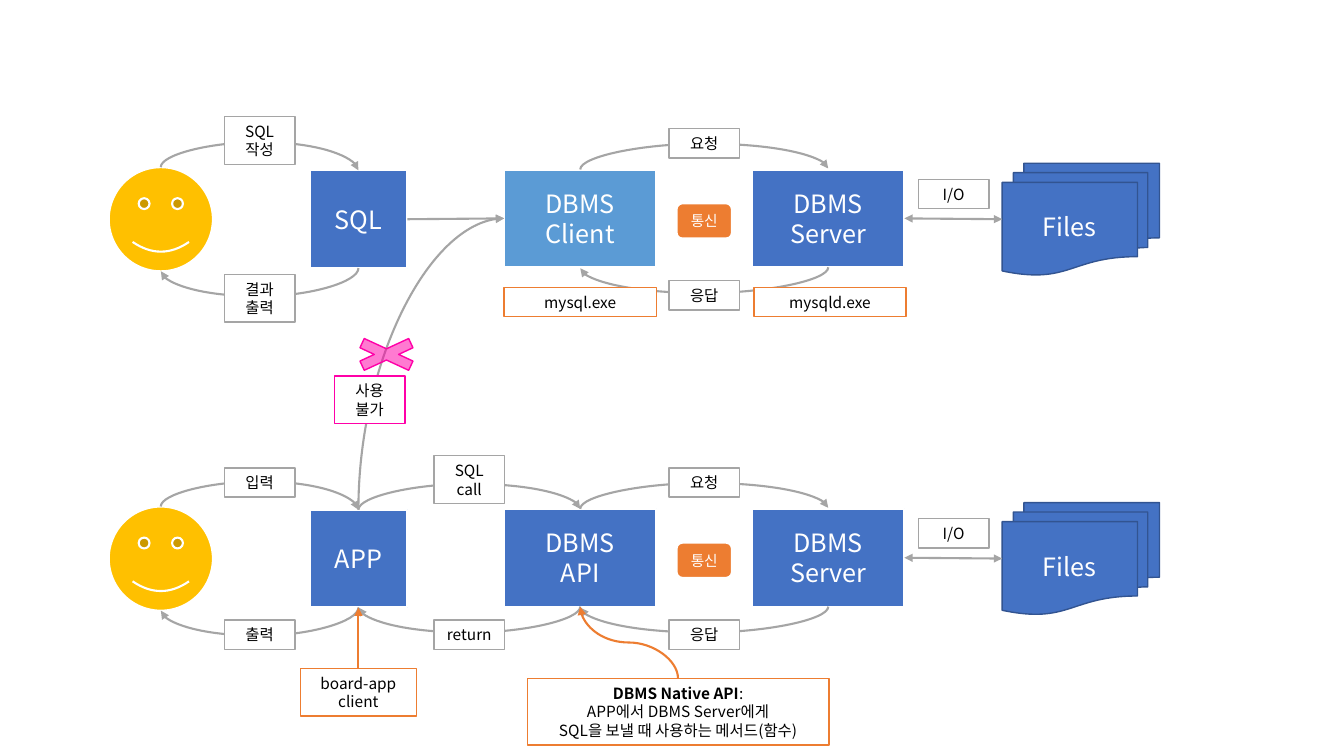
from dataclasses import dataclass

from lxml.etree import SubElement
from pptx import Presentation
from pptx.dml.color import RGBColor
from pptx.enum.shapes import MSO_CONNECTOR, MSO_SHAPE
from pptx.enum.text import MSO_ANCHOR, PP_ALIGN
from pptx.oxml.ns import qn
from pptx.util import Inches, Pt


@dataclass(frozen=True)
class Theme:
    font: str = "Noto Sans CJK KR"
    white: str = "FFFFFF"
    black: str = "000000"
    blue: str = "4472C4"
    sky: str = "5B9BD5"
    edge: str = "325491"
    gold: str = "FFC000"
    orange: str = "ED7D31"
    gray: str = "A5A5A5"
    pink: str = "FF00A8"
    big: float = 18
    small: float = 11
    tiny: float = 10.5
    thick: float = 1.5
    thin: float = 1


THEME = Theme()
TOP, LEFT, BOTTOM, RIGHT = range(4)

deck = Presentation()
deck.slide_width, deck.slide_height = Inches(13.33), Inches(7.5)
slide = deck.slides.add_slide(deck.slide_layouts[6])

# The slide is a grid of 160 columns by 90 rows.
UNIT = deck.slide_height / 90
FACE, STEP, CALL, SERVER, FILES = 19.14, 42.66, 69.06, 98.58, 128.64
WIDE, TALL = 18.12, 11.64
RISE = 9.4


def grid(n):
    return round(n * UNIT)


def rgb(code):
    return RGBColor.from_string(code)


def write(shape, text, size, color):
    """Fill a shape with centred lines; text before a '|' is bold."""
    frame = shape.text_frame
    frame.word_wrap = True
    frame.vertical_anchor = MSO_ANCHOR.MIDDLE
    frame.margin_left = frame.margin_right = 0
    for i, line in enumerate(text.split("\n")):
        para = frame.add_paragraph() if i else frame.paragraphs[0]
        para.alignment = PP_ALIGN.CENTER
        strong, mark, rest = line.rpartition("|")
        if mark:
            run = para.add_run()
            run.text, run.font.bold = strong, True
        para.add_run().text = rest
        font = para.font
        font.name, font.size, font.color.rgb = THEME.font, Pt(size), rgb(color)
        base = para._p.pPr.find(qn("a:defRPr"))
        SubElement(base, qn("a:ea"), typeface=THEME.font)


def block(x, y, w, h, fill, text="", kind=MSO_SHAPE.RECTANGLE,
          line=THEME.white, weight=THEME.thick, size=THEME.big,
          color=THEME.white):
    """Add a shape centred on x, y."""
    shape = slide.shapes.add_shape(
        kind, grid(x - w / 2), grid(y - h / 2), grid(w), grid(h))
    shape.shadow.inherit = False
    shape.fill.solid()
    shape.fill.fore_color.rgb = rgb(fill)
    shape.line.color.rgb, shape.line.width = rgb(line), Pt(weight)
    if text:
        write(shape, text, size, color)
    return shape


def label(x, y, text, w=8.4, line=THEME.gray):
    rows = text.count("\n") + 1
    return block(x, y, w, 1.26 + 2.22 * rows, THEME.white, text, line=line,
                 weight=THEME.thin, size=THEME.small, color=THEME.black)


def port(shape, side):
    """Give the middle of one side of a shape."""
    across = {LEFT: 0, RIGHT: 2}.get(side, 1)
    down = {TOP: 0, BOTTOM: 2}.get(side, 1)
    return (shape.left + shape.width * across // 2,
            shape.top + shape.height * down // 2)


def link(kind, start, end, color=THEME.gray, both=False):
    wire = slide.shapes.add_connector(kind, *start, *end)
    wire.line.color.rgb, wire.line.width = rgb(color), Pt(THEME.thick)
    line = wire.line._get_or_add_ln()
    for tag in ["a:headEnd", "a:tailEnd"][not both:]:
        SubElement(line, qn(tag), type="triangle")
    SubElement(wire._element.spPr, qn("a:effectLst"))
    return wire


def curve(start, end, bend=None, color=THEME.gray):
    """Leave start upright; bend is the height of the turn, None one corner."""
    (x1, y1), (x2, y2) = start, end
    wire = link(MSO_CONNECTOR.CURVE, start, end, color)
    w, h = abs(y2 - y1), abs(x2 - x1)
    wire.left, wire.top = (x1 + x2 - w) // 2, (y1 + y2 - h) // 2
    wire.width, wire.height = w, h
    form = wire._element.spPr.find(qn("a:xfrm"))
    form.set("rot", "5400000")
    form.set("flipH", str(int(y2 < y1)))
    form.set("flipV", str(int(x2 > x1)))
    geom = wire._element.spPr.find(qn("a:prstGeom"))
    if bend is None:
        geom.set("prst", "curvedConnector2")
    else:
        share = round((bend - y1) / (y2 - y1) * 100000)
        SubElement(geom.find(qn("a:avLst")), qn("a:gd"),
                   name="adj1", fmla=f"val {share}")


def bow(first, last, side):
    """Arch from one block to the next above or below both."""
    out = -1 if side == TOP else 1
    start, (x, y) = port(first, side), port(last, side)
    if abs(y - start[1]) < grid(0.1):
        y += out * grid(0.12)
    edge = min(start[1], y) if side == TOP else max(start[1], y)
    curve(start, (x, y), edge + out * grid(3))


def pair(first, last, mid, ask, reply):
    """Arch there and back between two blocks, each way with its label."""
    bow(first, last, TOP)
    bow(last, first, BOTTOM)
    x = (port(first, TOP)[0] + port(last, TOP)[0]) / 2 / UNIT
    for text, out in ((ask, -1), (reply, 1)):
        rise = RISE if "\n" in text else RISE - 0.35
        label(x, mid + out * rise, text)


def lane(mid, step, call, tint, ask, reply):
    """Place the chain from user to files, centred on row mid."""
    face = block(FACE, mid, 12.4, 12.4, THEME.gold, kind=MSO_SHAPE.SMILEY_FACE)
    tool = block(STEP, mid, TALL, TALL, THEME.blue, step)
    dbms = block(CALL, mid - 0.1, WIDE, TALL, tint, call)
    server = block(SERVER, mid - 0.1, WIDE, TALL, THEME.blue, "DBMS\nServer")
    files = block(FILES, mid, 18.72, 13.32, THEME.blue, "Files",
                  MSO_SHAPE.FLOWCHART_MULTIDOCUMENT, THEME.edge, THEME.thin)
    pair(face, tool, mid, ask, reply)
    pair(dbms, server, mid, "요청", "응답")
    wire = link(MSO_CONNECTOR.STRAIGHT, port(server, RIGHT), port(files, LEFT),
                both=True)
    wire.begin_connect(server, RIGHT)
    block((CALL + SERVER) / 2, mid + 0.2, 6.6, 4.2, THEME.orange, "통신",
          MSO_SHAPE.ROUNDED_RECTANGLE, size=THEME.tiny)
    label(113.5, mid - 3, "I/O")
    return tool, dbms


def join(first, side, last, end, color=THEME.gray):
    wire = link(MSO_CONNECTOR.STRAIGHT, port(first, side), port(last, end),
                color)
    wire.begin_connect(first, side)
    wire.end_connect(last, end)


def barred(app, client):
    """Cross out the way from the app to the client."""
    curve(port(app, TOP), port(client, LEFT))
    cross = block(46, 42.2, 11.16, 5.16, THEME.pink,
                  kind=MSO_SHAPE.MATH_MULTIPLY, line=THEME.pink,
                  weight=THEME.thin)
    tone = cross.fill._xPr.find(qn("a:solidFill"))[0]
    SubElement(tone, qn("a:alpha"), val="52000")
    label(44, 47.6, "사용\n불가", line=THEME.pink)


def notes(app, api):
    """Explain the app and the API below their blocks."""
    board = label(STEP, 82.4, "board-app\nclient", 13.8, THEME.orange)
    native = label(80.7, 84.72, "DBMS Native API|:\nAPP에서 DBMS Server에게\n"
                   "SQL을 보낼 때 사용하는 메서드(함수)", 35.9, THEME.orange)
    join(board, TOP, app, BOTTOM, THEME.orange)
    start, end = port(native, TOP), port(api, BOTTOM)
    curve(start, end, (start[1] + end[1]) / 2, THEME.orange)


def main():
    high, low = 26.1, 66.5
    sql, client = lane(high, "SQL", "DBMS\nClient", THEME.sky,
                       "SQL\n작성", "결과\n출력")
    join(sql, RIGHT, client, LEFT)
    for x, name in ((CALL, "mysql.exe"), (SERVER + 0.2, "mysqld.exe")):
        label(x, high + 9.84, name, WIDE, THEME.orange)
    app, api = lane(low, "APP", "DBMS\nAPI", THEME.blue, "입력", "출력")
    barred(app, client)
    pair(app, api, low, "SQL\ncall", "return")
    notes(app, api)
    deck.save("out.pptx")


if __name__ == "__main__":
    main()
